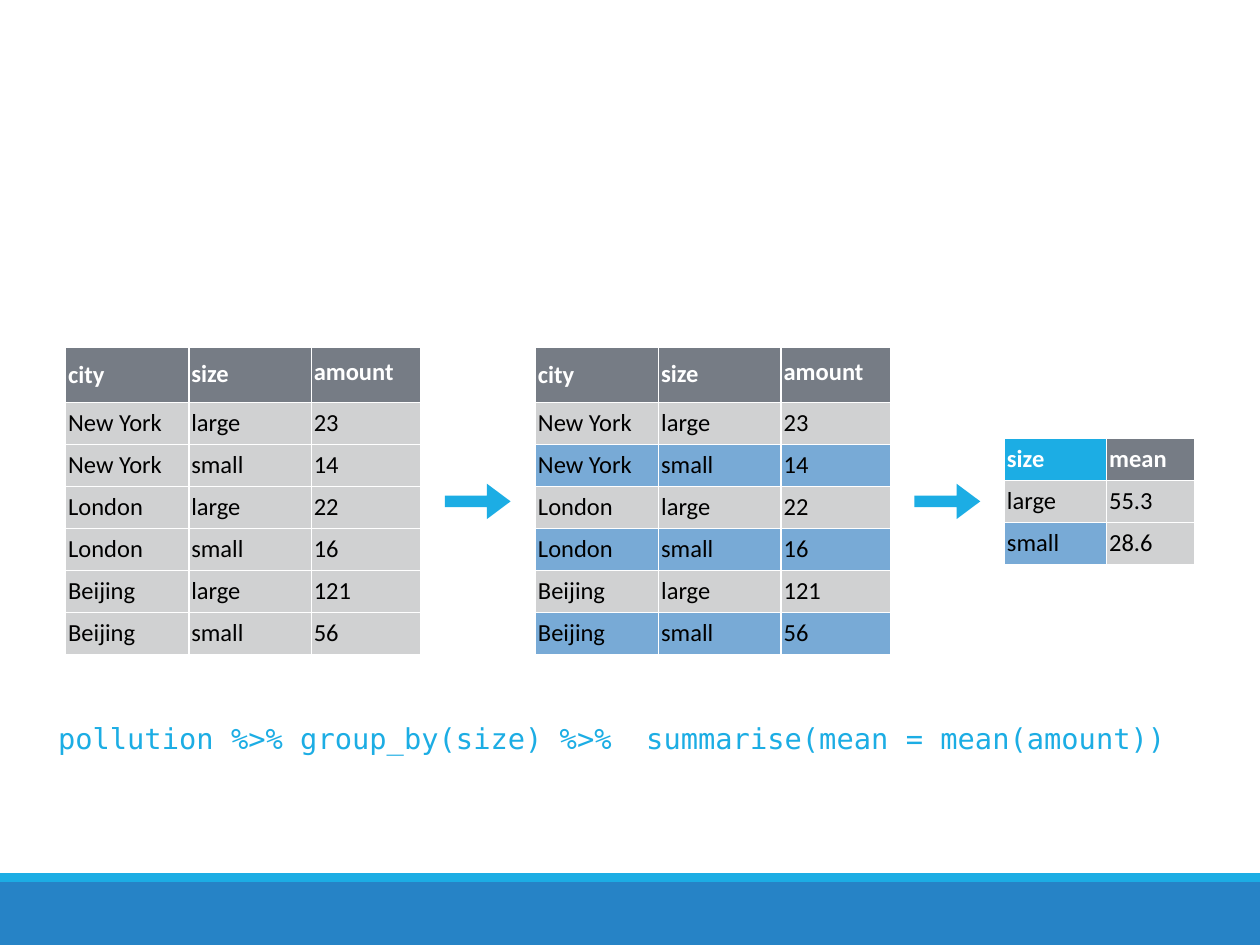
from pptx import Presentation
from pptx.dml.color import RGBColor
from pptx.enum.shapes import MSO_SHAPE
from pptx.enum.text import MSO_ANCHOR, PP_ALIGN
from pptx.oxml import parse_xml
from pptx.oxml.ns import nsdecls
from pptx.util import Pt

CYAN = RGBColor(0x1C, 0xAD, 0xE4)
BLUE = RGBColor(0x26, 0x83, 0xC6)
SLATE = RGBColor(0x76, 0x7C, 0x85)
GREY = RGBColor(0xD0, 0xD1, 0xD2)
LIGHT_BLUE = RGBColor(0x78, 0xAA, 0xD6)
WHITE = RGBColor(0xFF, 0xFF, 0xFF)
BLACK = RGBColor(0x00, 0x00, 0x00)

HEADER = {"size": Pt(14), "name": "Calibri", "bold": True}
BODY = {"size": Pt(14), "name": "Calibri", "bold": False}
CODE = {"size": Pt(16.4), "name": "DejaVu Sans Mono"}
CELL = {
    "margin_left": Pt(1.44), "margin_right": Pt(1.44),
    "margin_top": Pt(1.44), "margin_bottom": Pt(1.44),
    "vertical_anchor": MSO_ANCHOR.MIDDLE,
}
FRAME = {
    "margin_left": Pt(2.16), "margin_right": Pt(2.16),
    "margin_top": Pt(2.16), "margin_bottom": Pt(2.16),
    "word_wrap": True,
}
ROW_HEIGHT = 24

POLLUTION = [
    ("city", "size", "amount"),
    ("New York", "large", "23"),
    ("New York", "small", "14"),
    ("London", "large", "22"),
    ("London", "small", "16"),
    ("Beijing", "large", "121"),
    ("Beijing", "small", "56"),
]
SUMMARY = [("size", "mean"), ("large", "55.3"), ("small", "28.6")]
WIDTHS = [70.4, 70, 62.6]
PLAIN = [[SLATE] * 3] + [[GREY] * 3] * 6
GROUPED = [[SLATE] * 3] + [[GREY] * 3, [LIGHT_BLUE] * 3] * 3
SUMMARY_FILLS = [[CYAN, SLATE], [GREY, GREY], [LIGHT_BLUE, GREY]]
SPACING = {"size": 0.8, "amount": 0.6}


def add_text(p, text, color, font):
    r = p.add_run()
    r.text = text
    r.font.color.rgb = color
    for key, value in font.items():
        setattr(r.font, key, value)


def add_filled(shapes, kind, box, color):
    sp = shapes.add_shape(kind, *map(Pt, box))
    sp.shadow.inherit = False
    sp.fill.solid()
    sp.fill.fore_color.rgb = color
    sp.line.fill.background()
    return sp


prs = Presentation()
prs.slide_width, prs.slide_height = Pt(720), Pt(540)
s = prs.slides.add_slide(prs.slide_layouts[6])

add_filled(s.shapes, MSO_SHAPE.RECTANGLE, (0, 504, 720, 36), BLUE)
add_filled(s.shapes, MSO_SHAPE.RECTANGLE, (0, 499, 720, 5), CYAN)

for left, top, rows, widths, fills, header_height in [
    (37.5, 198.5, POLLUTION, WIDTHS, PLAIN, 31.5),
    (306, 198.5, POLLUTION, WIDTHS, GROUPED, 31.5),
    (574, 250.5, SUMMARY, [58.4, 50.4], SUMMARY_FILLS, ROW_HEIGHT),
]:
    height = header_height + ROW_HEIGHT * (len(rows) - 1)
    tbl = s.shapes.add_table(len(rows), len(widths), Pt(left), Pt(top),
                             Pt(sum(widths)), Pt(height)).table
    for col, width in zip(tbl.columns, widths):
        col.width = Pt(width)
    for i, values in enumerate(rows):
        tbl.rows[i].height = Pt(ROW_HEIGHT if i else header_height)
        for j, text in enumerate(values):
            cell = tbl.cell(i, j)
            for key, value in CELL.items():
                setattr(cell, key, value)
            p = cell.text_frame.paragraphs[0]
            p.alignment = PP_ALIGN.LEFT
            if rows is POLLUTION and text in SPACING:
                p.line_spacing = SPACING[text]
            add_text(p, text, BLACK if i else WHITE, BODY if i else HEADER)
            tcPr = cell._tc.get_or_add_tcPr()
            for side in ("lnL", "lnR", "lnT", "lnB"):
                tcPr.append(parse_xml(
                    f'<a:{side} {nsdecls("a")} w="12700"><a:solidFill>'
                    f'<a:srgbClr val="{WHITE}"/></a:solidFill></a:{side}>'))
            cell.fill.solid()
            cell.fill.fore_color.rgb = fills[i][j]

for left in (254.2, 522.6):
    sp = add_filled(s.shapes, MSO_SHAPE.RIGHT_ARROW, (left, 276.4, 37.6, 20.2), CYAN)
    sp.adjustments[0], sp.adjustments[1] = 0.32, 0.67

tf = s.shapes.add_textbox(Pt(31), Pt(409.7), Pt(638), Pt(33)).text_frame
for key, value in FRAME.items():
    setattr(tf, key, value)
p = tf.paragraphs[0]
p.space_before = Pt(3.8)
add_text(p, "pollution %>% group_by(size) %>%  summarise(mean = mean(amount))", CYAN, CODE)

prs.save("out.pptx")
